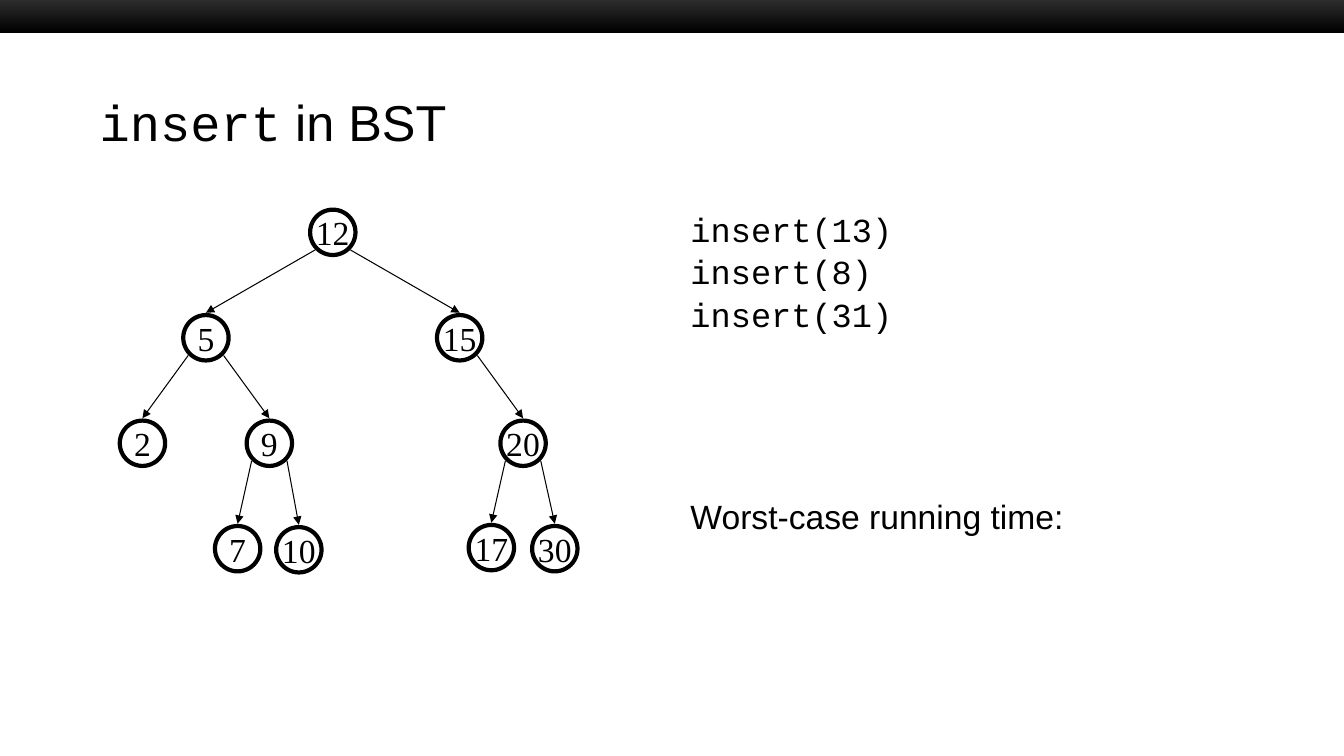
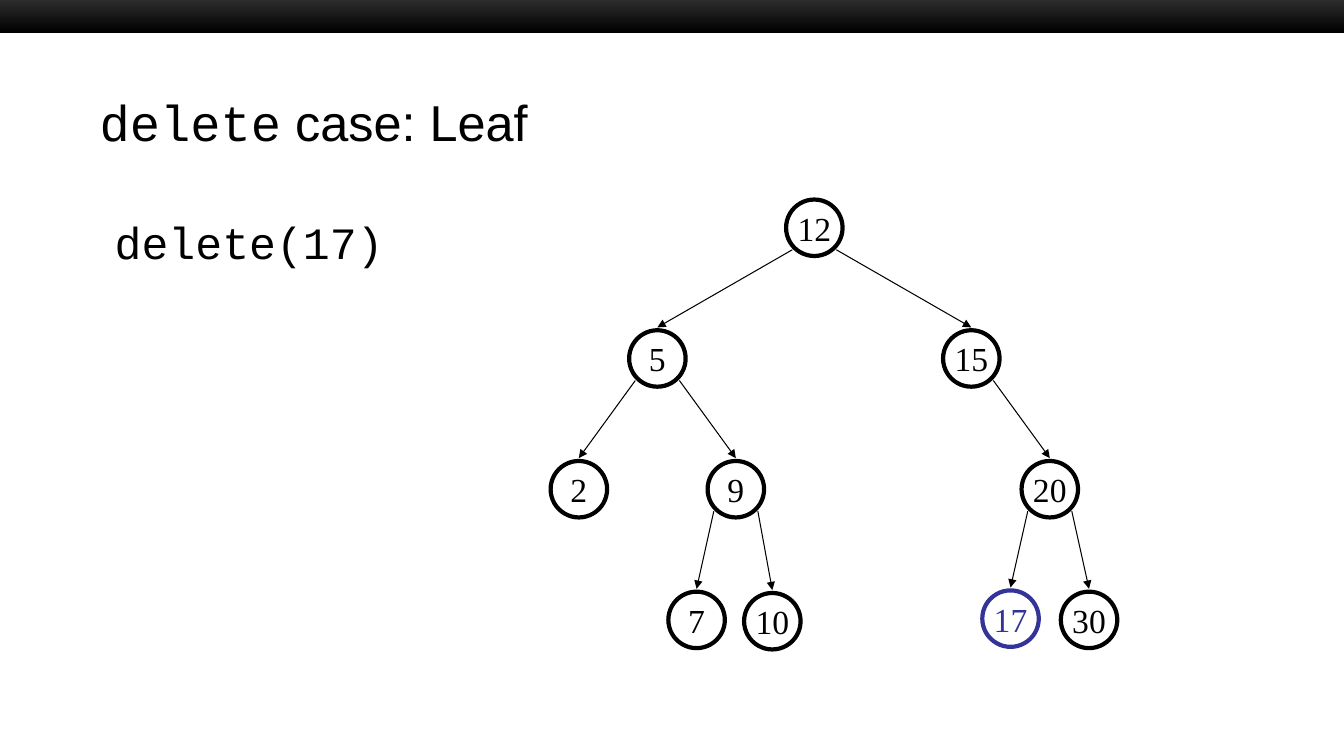
"""Build two slides on inserting into and deleting from a binary search tree."""
from dataclasses import dataclass
from typing import NamedTuple

from lxml import etree
from pptx import Presentation
from pptx.dml.color import RGBColor
from pptx.enum.shapes import MSO_CONNECTOR, MSO_SHAPE
from pptx.enum.text import MSO_ANCHOR, PP_ALIGN
from pptx.oxml.ns import qn
from pptx.shapes.group import GroupShape
from pptx.slide import Slide
from pptx.text.text import TextFrame
from pptx.util import Inches, Length, Pt

WIDTH, HEIGHT = Inches(13.33), Inches(7.5)
COLUMN, ROW = WIDTH / 100, HEIGHT / 100

BLACK = RGBColor(0x00, 0x00, 0x00)
CHARCOAL = RGBColor(0x33, 0x33, 0x33)
INDIGO = RGBColor(0x33, 0x33, 0x99)
SANS, MONO, SERIF = "Arial", "Courier New", "Times New Roman"

RECTANGLE, OVAL = MSO_SHAPE.RECTANGLE, MSO_SHAPE.OVAL
STRAIGHT = MSO_CONNECTOR.STRAIGHT
TOP, MIDDLE = MSO_ANCHOR.TOP, MSO_ANCHOR.MIDDLE
LEFT, CENTER = PP_ALIGN.LEFT, PP_ALIGN.CENTER

BLANK_LAYOUT = 6
EDGE_START = 0.39
EDGE_END = 0.55


class Span(NamedTuple):
    """A run of text in one font."""
    text: str
    font: str
    size: float
    color: RGBColor = BLACK


class Line(NamedTuple):
    """A paragraph and the space above it in points."""
    spans: list[Span]
    before: float = 0


class Area(NamedTuple):
    """A rectangle in hundredths of the slide's width and height."""
    left: float
    top: float
    width: float
    height: float

    def lengths(self) -> tuple[Length, ...]:
        """Return left, top, width and height as lengths."""
        units = (COLUMN, ROW, COLUMN, ROW)
        return tuple(Length(round(share * unit)) for share, unit in zip(self, units))


class Node(NamedTuple):
    """A key of the tree, its slot in the tree's grid and its parent's key."""
    key: int
    column: float
    row: float
    parent: int | None = None


@dataclass(frozen=True)
class TreeGrid:
    """Where the tree's grid starts, its steps and its node size, in slide shares."""
    left: float
    top: float
    column_step: float
    row_step: float
    node_height: float

    @property
    def diameter(self) -> float:
        """Return the node diameter as a length."""
        return self.node_height * ROW

    def center(self, node: Node) -> tuple[float, float]:
        """Return the centre of a node."""
        return ((self.left + node.column * self.column_step) * COLUMN,
                (self.top + node.row * self.row_step) * ROW)


BAND = Area(0, -0.67, 100, 5.07)
TITLE = Area(6.68, 11.07, 86.72, 10)
BODY = Area(50.64, 27, 42.24, 63.47)
CALL = Area(7.8, 27.73, 21.76, 8.53)

NODES = [
    Node(12, 6, 0),
    Node(5, 2, 1, 12),
    Node(15, 10, 1, 12),
    Node(2, 0, 2, 5),
    Node(9, 4, 2, 5),
    Node(20, 12, 2, 15),
    Node(7, 3, 3, 9),
    Node(10, 4.93, 3.01, 9),
    Node(17, 11, 2.99, 20),
    Node(30, 13, 3, 20),
]
INSERT_GRID = TreeGrid(10.6, 30.73, 2.36, 13.95, 6)
DELETE_GRID = TreeGrid(43.07, 30.13, 2.92, 17.29, 7.47)


def write(frame: TextFrame, lines: list[Line], align: PP_ALIGN = LEFT) -> None:
    """Fill a text frame run by run."""
    for index, line in enumerate(lines):
        para = frame.paragraphs[0] if index == 0 else frame.add_paragraph()
        para.alignment = align
        para.space_before = Pt(line.before)
        for span in line.spans:
            run = para.add_run()
            run.text = span.text
            run.font.name = span.font
            run.font.size = Pt(span.size)
            run.font.color.rgb = span.color


def add_text(page: Slide, area: Area, lines: list[Line], anchor: MSO_ANCHOR = TOP) -> None:
    """Add a wrapping text box."""
    frame = page.shapes.add_textbox(*area.lengths()).text_frame
    frame.word_wrap = True
    frame.vertical_anchor = anchor
    write(frame, lines)


def add_page(deck: Presentation, operation: str, topic: str) -> Slide:
    """Add a slide with the shared band and a title led by an operation name."""
    page = deck.slides.add_slide(deck.slide_layouts[BLANK_LAYOUT])
    band = page.shapes.add_shape(RECTANGLE, *BAND.lengths())
    band.shadow.inherit = False
    band.line.fill.background()
    band.fill.gradient()
    band.fill.gradient_angle = 270
    for stop, color in zip(band.fill.gradient_stops, (CHARCOAL, BLACK)):
        stop.color.rgb = color
    title = Line([Span(operation, MONO, 36), Span(f" {topic}", SANS, 36)])
    add_text(page, TITLE, [title], MIDDLE)
    return page


def add_node(group: GroupShape, grid: TreeGrid, node: Node, color: RGBColor) -> None:
    """Draw a node as a ring around its key."""
    x, y = grid.center(node)
    size = round(grid.diameter)
    ring = group.shapes.add_shape(
        OVAL, round(x - size / 2), round(y - size / 2), size, size)
    ring.shadow.inherit = False
    ring.fill.background()
    ring.line.color.rgb = color
    ring.line.width = Pt(3)
    frame = ring.text_frame
    frame.word_wrap = False
    frame.vertical_anchor = MIDDLE
    frame.margin_left = frame.margin_right = 0
    write(frame, [Line([Span(str(node.key), SERIF, 24, color)])], CENTER)


def add_edge(group: GroupShape, grid: TreeGrid, parent: Node, child: Node) -> None:
    """Draw an arrow from a parent's lower side to the top of its child."""
    parent_x, parent_y = grid.center(parent)
    child_x, child_y = grid.center(child)
    start = EDGE_START * grid.diameter
    side = start if child.column > parent.column else -start
    edge = group.shapes.add_connector(
        STRAIGHT, round(parent_x + side), round(parent_y + start),
        round(child_x), round(child_y - EDGE_END * grid.diameter))
    edge.line.color.rgb = BLACK
    edge.line.width = Pt(0.75)
    etree.SubElement(edge.line._get_or_add_ln(), qn("a:tailEnd"), type="triangle")
    etree.SubElement(edge._element.spPr, qn("a:effectLst"))


def add_tree(page: Slide, grid: TreeGrid, marked: int | None = None) -> None:
    """Draw the tree as one group, with one key marked if given."""
    group = page.shapes.add_group_shape()
    by_key = {node.key: node for node in NODES}
    for node in NODES:
        add_node(group, grid, node, INDIGO if node.key == marked else BLACK)
        if node.parent is not None:
            add_edge(group, grid, by_key[node.parent], node)


def add_insert_page(deck: Presentation) -> None:
    """Add the slide on insertion."""
    page = add_page(deck, "insert", "in BST")
    lines = [Line([Span(f"insert({key})", MONO, 24)], 1.4) for key in (13, 8, 31)]
    lines.append(Line([Span("Worst-case running time:", SANS, 24)], 116))
    add_text(page, BODY, lines)
    add_tree(page, INSERT_GRID)


def add_delete_page(deck: Presentation) -> None:
    """Add the slide on deleting a leaf."""
    page = add_page(deck, "delete", "case: Leaf")
    add_text(page, CALL, [Line([Span("delete(17)", MONO, 32)])])
    add_tree(page, DELETE_GRID, marked=17)


def main() -> None:
    """Build and save the deck."""
    deck = Presentation()
    deck.slide_width, deck.slide_height = WIDTH, HEIGHT
    add_insert_page(deck)
    add_delete_page(deck)
    deck.save("out.pptx")


if __name__ == "__main__":
    main()
